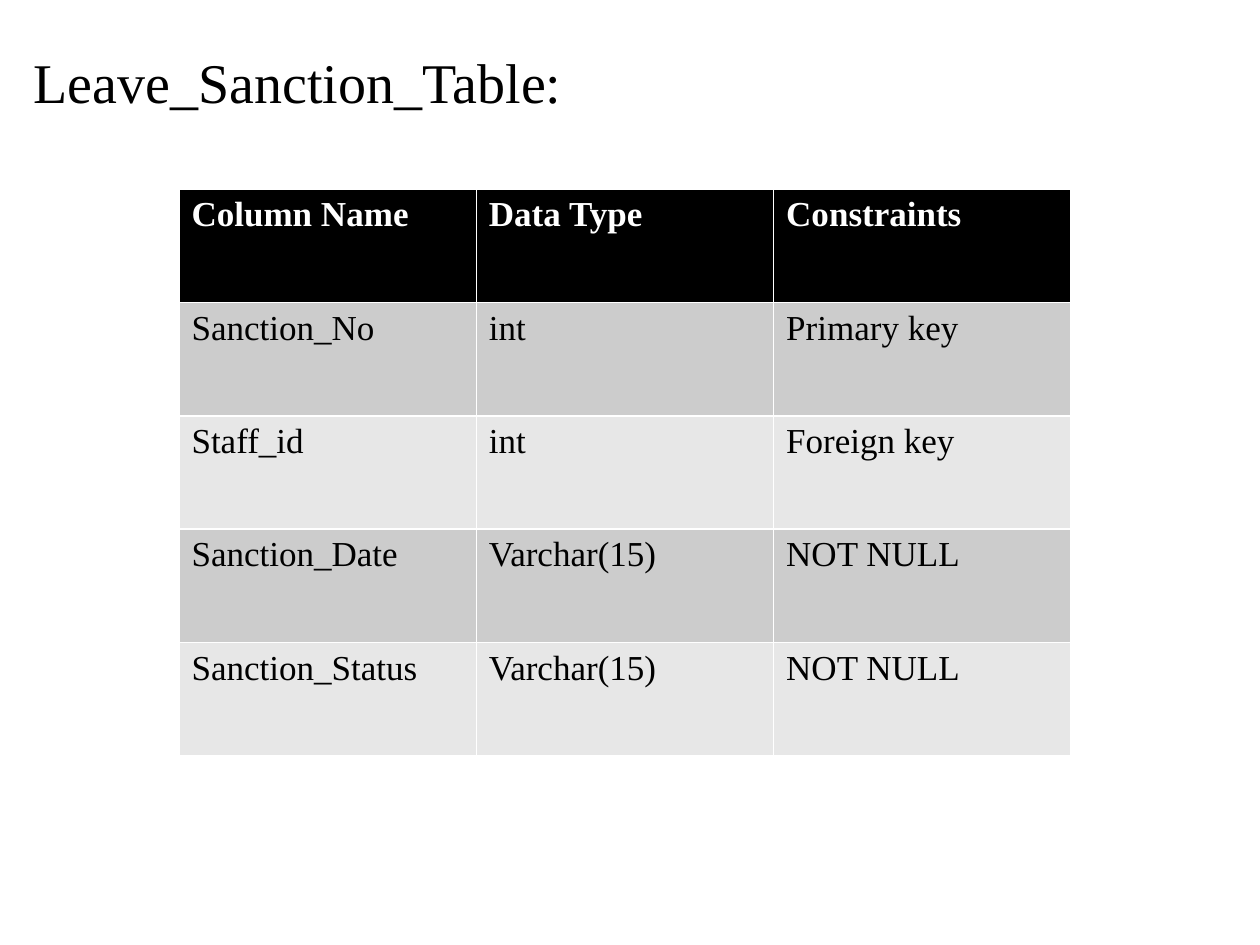
from pptx import Presentation
from pptx.dml.color import RGBColor
from pptx.util import Inches, Pt


def color(value):
    return RGBColor.from_string(value)


def write(frame, text, size, fill="000000", bold=False):
    span = frame.paragraphs[0].add_run()
    span.text = text
    span.font.name = "Times New Roman"
    span.font.size = Pt(size)
    span.font.bold = bold
    span.font.color.rgb = color(fill)


deck = Presentation()
deck.slide_width, deck.slide_height = Inches(10), Inches(7.5)
page = deck.slides.add_slide(deck.slide_layouts[6])

rows = [
    ("Column Name", "Data Type", "Constraints"),
    ("Sanction_No", "int", "Primary key"),
    ("Staff_id", "int", "Foreign key"),
    ("Sanction_Date", "Varchar(15)", "NOT NULL"),
    ("Sanction_Status", "Varchar(15)", "NOT NULL"),
]

# The default table style supplies the white rules, thicker below the header.
table = page.shapes.add_table(
    len(rows), len(rows[0]), Inches(1.42), Inches(1.5), Inches(7.08), Inches(4.5)
).table
for row_index, row in enumerate(rows):
    header = row_index == 0
    band = "000000" if header else ("E7E7E7", "CCCCCC")[row_index % 2]
    for column_index, text in enumerate(row):
        cell = table.cell(row_index, column_index)
        cell.fill.solid()
        cell.fill.fore_color.rgb = color(band)
        write(cell.text_frame, text, size=20,
              fill="FFFFFF" if header else "000000", bold=header)

title_box = page.shapes.add_textbox(
    Inches(0.17), Inches(0.33), Inches(5.56), Inches(0.64)
)
title_box.text_frame.word_wrap = True
write(title_box.text_frame, "Leave_Sanction_Table:", size=32)

deck.save("out.pptx")
